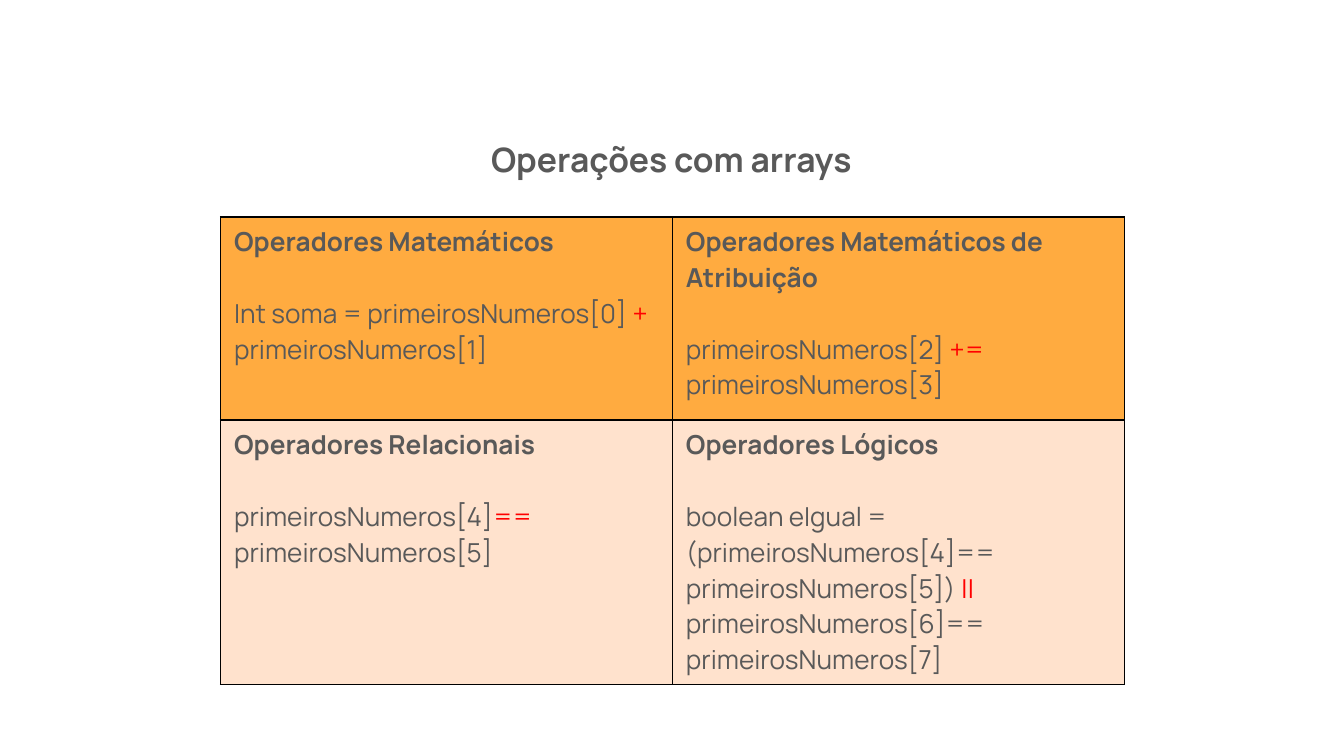
from lxml import etree
from pptx import Presentation
from pptx.enum import text
from pptx.oxml import ns
from pptx.util import Cm, Pt
from pptx.dml.color import RGBColor

COLORS = {
    "text": "595959",
    "operator": "FF0000",
    "top": "FFAB40",
    "bottom": "FFE2CD",
    "border": "000000",
}
FONT = "Manrope"


def style(font, size, bold, color="text"):
    font.name = FONT
    font.size = Pt(size)
    font.bold = bold
    font.color.rgb = RGBColor.from_string(COLORS[color])


def add_borders(cell):
    properties = cell._tc.get_or_add_tcPr()
    for position, side in enumerate(("lnL", "lnR", "lnT", "lnB")):
        line = etree.Element(ns.qn(f"a:{side}"), w=str(Pt(1)))
        fill = etree.SubElement(line, ns.qn("a:solidFill"))
        etree.SubElement(fill, ns.qn("a:srgbClr"), val=COLORS["border"])
        properties.insert(position, line)


presentation = Presentation()
presentation.slide_width = Cm(25.4)
presentation.slide_height = Cm(14.29)
slide = presentation.slides.add_slide(presentation.slide_layouts[6])

title = slide.shapes.add_textbox(Cm(1.07), Cm(2.51), Cm(23.24), Cm(7.44)).text_frame
title.word_wrap = True
heading = title.paragraphs[0]
heading.text = "Operações com arrays"
heading.alignment = text.PP_ALIGN.CENTER
style(heading.font, 18, True)

operations = [
    [
        ("Operadores Matemáticos",
         "Int soma = primeirosNumeros[0] ", "+", " primeirosNumeros[1]"),
        ("Operadores Matemáticos de Atribuição",
         "primeirosNumeros[2] ", "+=", " primeirosNumeros[3]"),
    ],
    [
        ("Operadores Relacionais",
         "primeirosNumeros[4]", "==", " primeirosNumeros[5]"),
        ("Operadores Lógicos",
         "boolean eIgual = (primeirosNumeros[4]== primeirosNumeros[5]) ", "||",
         " primeirosNumeros[6]== primeirosNumeros[7]"),
    ],
]
row_heights = [Cm(3.84), Cm(5)]
column_width = Cm(8.54)

operators = slide.shapes.add_table(
    2, 2, Cm(4.17), Cm(4.1), 2 * column_width, sum(row_heights)).table
for column in operators.columns:
    column.width = column_width

for r, (row, height, color) in enumerate(zip(operations, row_heights, ("top", "bottom"))):
    operators.rows[r].height = height
    for c, (name, before, operator, after) in enumerate(row):
        cell = operators.cell(r, c)
        cell.fill.solid()
        cell.fill.fore_color.rgb = RGBColor.from_string(COLORS[color])
        add_borders(cell)

        category = cell.text_frame.paragraphs[0]
        category.text = name
        style(category.font, 14, True)

        example = cell.text_frame.add_paragraph()
        example.space_before = Pt(19.2)
        for part, part_color in ((before, "text"), (operator, "operator"), (after, "text")):
            run = example.add_run()
            run.text = part
            style(run.font, 14, False, part_color)

presentation.save("out.pptx")
